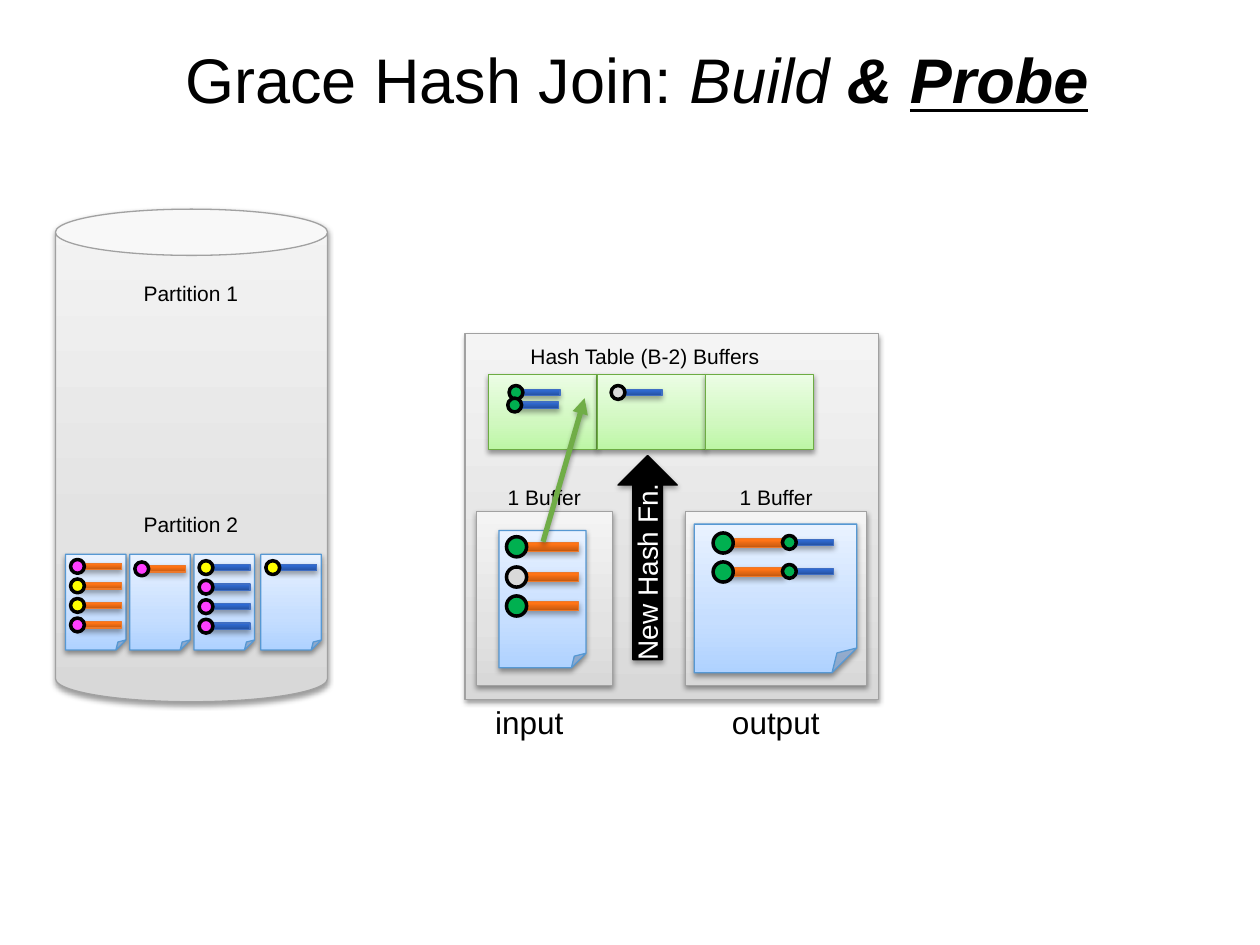
import copy
from dataclasses import dataclass

import pptx
import pptx.dml.color
import pptx.enum.shapes
import pptx.enum.text
import pptx.oxml
import pptx.oxml.ns
import pptx.util
from pptx.util import Inches

RGBColor = pptx.dml.color.RGBColor
SHAPE = pptx.enum.shapes.MSO_SHAPE
ALIGN = pptx.enum.text.PP_ALIGN
BLACK = RGBColor(0x00, 0x00, 0x00)
WHITE = RGBColor(0xFF, 0xFF, 0xFF)
GREEN = RGBColor(0x00, 0xB0, 0x50)
GREY = RGBColor(0xD9, 0xD9, 0xD9)
PINK = RGBColor(0xFF, 0x40, 0xFF)
YELLOW = RGBColor(0xFF, 0xFF, 0x00)
ARROW_GREEN = RGBColor(0x70, 0xAD, 0x47)


@dataclass(frozen=True)
class Look:
    """Gradient stops from bottom to top, outline and shadow strength."""
    stops: tuple[tuple[float, RGBColor], ...]
    line: RGBColor
    shadow_alpha: int = 38
    shadow_distance: float = 1.6


def look(colors: str, line: str, middle: float = 0.35, **shadow) -> Look:
    """Make a three-stop look from hex colours."""
    rgb = [RGBColor.from_string(color) for color in colors.split()]
    return Look(tuple(zip((0, middle, 1), rgb)), RGBColor.from_string(line), **shadow)


BAR_SHADOW = dict(shadow_alpha=35, shadow_distance=1.8)
STORAGE = look("D8D8D8 E3E3E3 F4F4F4", "A1A1A1")
BUCKET = look("BCF6A4 D0F8BF ECFDE5", "6DAC43")
PAGE = look("AFD2FF C6DEFF E9F2FF", "5698D3")
ORANGE_BAR = look("C3580F FF7416 FF7517", "EC792B", 0.8, **BAR_SHADOW)
BLUE_BAR = look("24509E 2F69D0 2C69D4", "3F6EC3", 0.8, **BAR_SHADOW)


@dataclass(frozen=True)
class Record:
    """A tuple: a round key at left, top and a bar to its right."""
    left: float
    top: float
    key: RGBColor
    bar: Look
    large: bool = False


@dataclass(frozen=True)
class Label:
    """A line of text in its box."""
    text: str
    left: float
    top: float
    width: float
    height: float = 0.29
    size: int = 12
    wrap: bool = False
    align: ALIGN = ALIGN.LEFT
    color: RGBColor = BLACK
    rotation: int = 0


deck = pptx.Presentation()
deck.slide_width, deck.slide_height = Inches(10), Inches(7.5)
slide = deck.slides.add_slide(deck.slide_layouts[6])


def add_shadow(shape, alpha: int, distance: float) -> None:
    """Give a shape or connector a soft shadow below it."""
    properties = shape._element.spPr
    effects = pptx.oxml.parse_xml(
        f'<a:effectLst {pptx.oxml.ns.nsdecls("a")}>'
        f'<a:outerShdw blurRad="{pptx.util.Pt(3)}" dist="{pptx.util.Pt(distance)}" '
        f'dir="5400000" rotWithShape="0"><a:srgbClr val="000000">'
        f'<a:alpha val="{alpha * 1000}"/></a:srgbClr></a:outerShdw></a:effectLst>')
    properties.append(effects)


def add_solid(kind, left: float, top: float, width: float, height: float,
              color: RGBColor, line_width: float):
    """Draw a plain filled shape with a black outline."""
    shape = slide.shapes.add_shape(kind, Inches(left), Inches(top),
                                   Inches(width), Inches(height))
    shape.fill.solid()
    shape.fill.fore_color.rgb = color
    shape.line.color.rgb = BLACK
    shape.line.width = pptx.util.Pt(line_width)
    return shape


def add_shaded(kind, left: float, top: float, width: float, height: float, style: Look):
    """Draw a shape with a gradient, outline and shadow."""
    shape = slide.shapes.add_shape(kind, Inches(left), Inches(top),
                                   Inches(width), Inches(height))
    shape.fill.gradient()
    shape.fill.gradient_angle = 90
    stop_list = shape._element.spPr.find(".//" + pptx.oxml.ns.qn("a:gsLst"))
    stop_list.append(copy.deepcopy(stop_list[-1]))
    for stop, (position, color) in zip(shape.fill.gradient_stops, style.stops):
        stop.position = position
        stop.color.rgb = color
    shape.line.color.rgb = style.line
    shape.line.width = pptx.util.Pt(0.75)
    add_shadow(shape, style.shadow_alpha, style.shadow_distance)
    return shape


def add_record(record: Record) -> None:
    """Draw the bar of a record and its key on top."""
    key, length, thickness = (0.16, 0.48, 0.07) if record.large else (0.11, 0.34, 0.05)
    add_shaded(SHAPE.RECTANGLE, record.left + key / 2 + 0.01,
               record.top + (key - thickness) / 2, length, thickness, record.bar)
    circle = add_solid(SHAPE.OVAL, record.left, record.top, key, key, record.key, 2)
    circle.shadow.inherit = False


def add_label(label: Label):
    """Write a label and return its paragraph."""
    box = slide.shapes.add_textbox(Inches(label.left), Inches(label.top),
                                   Inches(label.width), Inches(label.height))
    box.rotation = label.rotation
    frame = box.text_frame
    frame.word_wrap = label.wrap
    frame.vertical_anchor = pptx.enum.text.MSO_ANCHOR.TOP
    frame.margin_left = frame.margin_right = Inches(0.05)
    frame.margin_top = frame.margin_bottom = Inches(0.05)
    para = frame.paragraphs[0]
    para.text = label.text
    para.alignment = label.align
    para.font.name = "Arial"
    para.font.size = pptx.util.Pt(label.size)
    para.font.color.rgb = label.color
    return box


def add_title() -> None:
    """Write the title with its emphasised words."""
    box = add_label(Label("Grace Hash Join: ", 1.42, 0, 7.83, 1.25, 36, wrap=True))
    box.text_frame.vertical_anchor = pptx.enum.text.MSO_ANCHOR.MIDDLE
    for text, bold, underline in (("Build", False, False), (" & ", True, False),
                                  ("Probe", True, True)):
        span = box.text_frame.paragraphs[0].add_run()
        span.text = text
        span.font.italic = True
        span.font.bold = bold
        span.font.underline = underline


def add_probe_arrow() -> None:
    """Draw the arrow from the input record to its bucket."""
    arrow = slide.shapes.add_connector(pptx.enum.shapes.MSO_CONNECTOR.STRAIGHT,
                                       Inches(4.31), Inches(4.3), Inches(4.64), Inches(3.16))
    arrow.line.color.rgb = ARROW_GREEN
    arrow.line.width = pptx.util.Pt(3)
    arrow.line._get_or_add_ln().append(pptx.oxml.parse_xml(
        f'<a:tailEnd {pptx.oxml.ns.nsdecls("a")} type="triangle"/>'))
    add_shadow(arrow, 35, 1.8)


add_title()
disk = add_shaded(SHAPE.CAN, 0.44, 1.66, 2.16, 3.91, STORAGE)
disk.adjustments[0] = 0.17
add_shaded(SHAPE.RECTANGLE, 3.69, 2.65, 3.28, 2.9, STORAGE)
for column in range(3):
    add_shaded(SHAPE.RECTANGLE, 3.88 + 0.86 * column, 2.97, 0.86, 0.6, BUCKET)
for buffer_left, buffer_width in ((3.78, 1.08), (5.44, 1.44)):
    add_shaded(SHAPE.RECTANGLE, buffer_left, 4.06, buffer_width, 1.38, STORAGE)
    add_label(Label("1 Buffer", buffer_left, 3.8, buffer_width, wrap=True, align=ALIGN.CENTER))

hash_arrow = add_solid(SHAPE.RIGHT_ARROW, 4.33, 4.19, 1.62, 0.47, BLACK, 0.75)
hash_arrow.rotation = 270
add_shadow(hash_arrow, 35, 1.8)

add_shaded(SHAPE.FOLDED_CORNER, 3.96, 4.21, 0.69, 1.09, PAGE)
add_shaded(SHAPE.FOLDED_CORNER, 5.51, 4.16, 1.29, 1.18, PAGE)

DISK_PAGES = ((0.52, 4.44, ORANGE_BAR, (PINK, YELLOW, YELLOW, PINK)),
              (1.03, 4.46, ORANGE_BAR, (PINK,)),
              (1.54, 4.45, BLUE_BAR, (YELLOW, PINK, PINK, PINK)),
              (2.07, 4.45, BLUE_BAR, (YELLOW,)))
for page_left, first_top, bar, keys in DISK_PAGES:
    add_shaded(SHAPE.FOLDED_CORNER, page_left, 4.4, 0.48, 0.76, PAGE)
    for row, key_color in enumerate(keys):
        add_record(Record(page_left + 0.04, first_top + 0.155 * row, key_color, bar))

for top, key_color in ((4.26, GREEN), (4.5, GREY), (4.73, GREEN)):
    add_record(Record(4.02, top, key_color, ORANGE_BAR, large=True))
for left, top, key_color in ((4.04, 3.06, GREEN), (4.85, 3.06, GREY), (4.03, 3.16, GREEN)):
    add_record(Record(left, top, key_color, BLUE_BAR))
add_probe_arrow()
for top in (4.23, 4.46):
    add_record(Record(5.66, top, GREEN, ORANGE_BAR, large=True))
    add_record(Record(6.21, top + 0.02, GREEN, BLUE_BAR))

for caption in (Label("Hash Table (B-2) Buffers", 4.16, 2.68, 1.92),
                Label("New Hash Fn.", 4.28, 4.28, 1.68, 0.34, 16, wrap=True,
                      color=WHITE, rotation=270),
                Label("Partition 1", 1.09, 2.18, 0.87),
                Label("Partition 2", 1.09, 4.01, 0.87),
                Label("input", 3.88, 5.53, 0.67, 0.4, 18),
                Label("output", 5.76, 5.53, 0.84, 0.4, 18)):
    add_label(caption)

deck.save("out.pptx")
